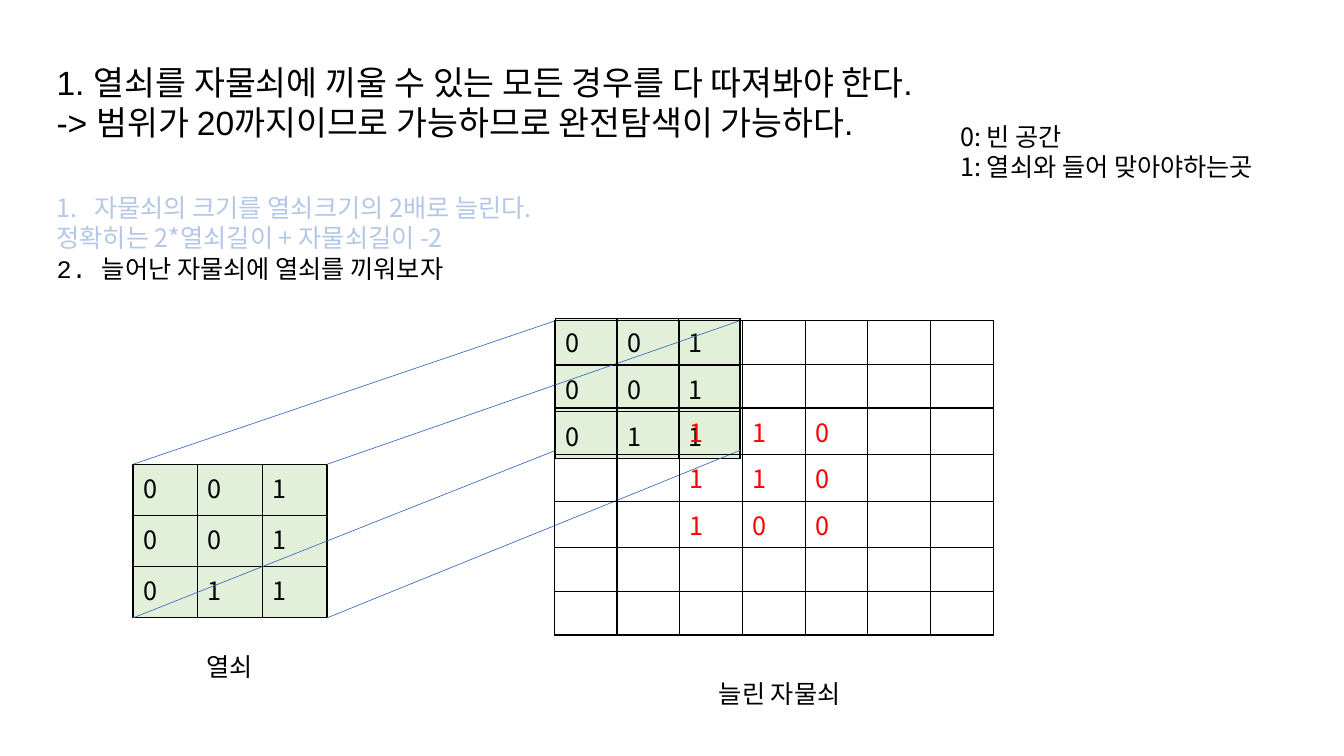
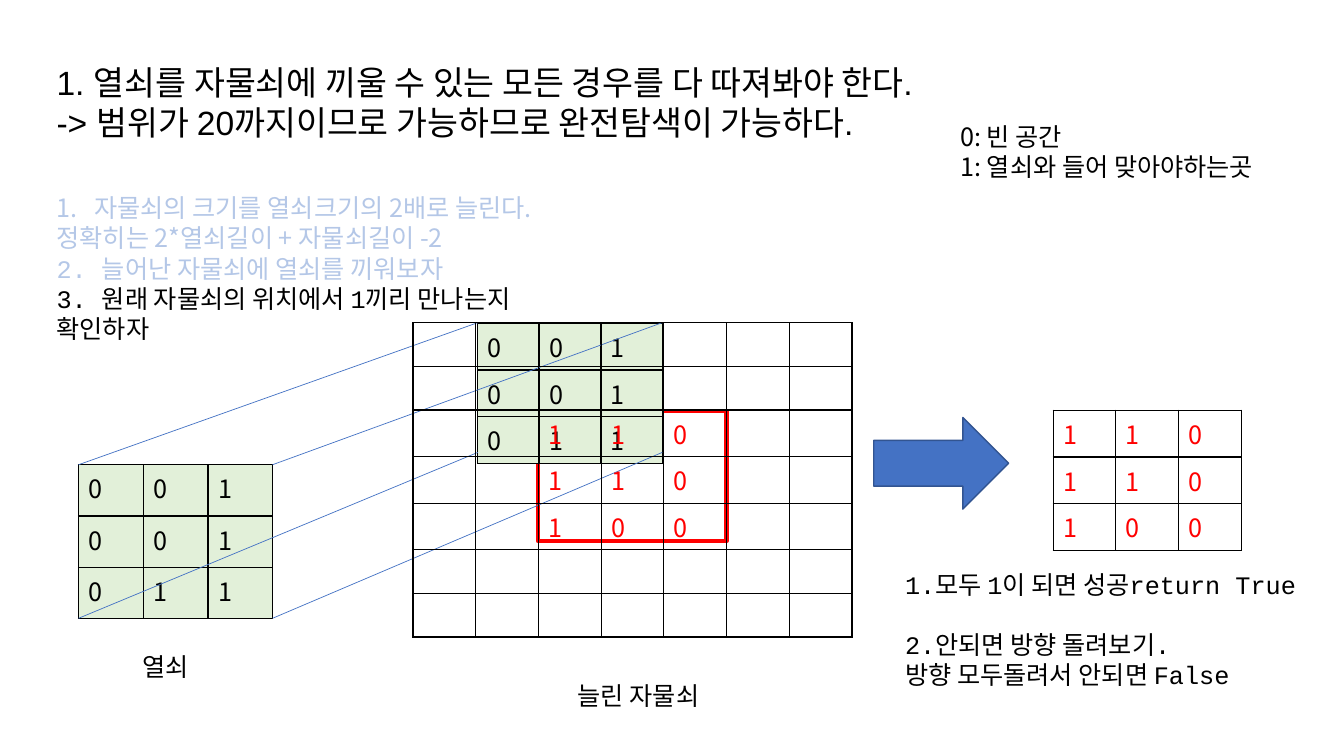
from lxml.etree import SubElement
from pptx import Presentation
from pptx.dml.color import RGBColor
from pptx.enum.shapes import MSO_CONNECTOR, MSO_SHAPE
from pptx.enum.text import MSO_ANCHOR, MSO_AUTO_SIZE, PP_ALIGN
from pptx.oxml import parse_xml
from pptx.oxml.ns import nsdecls, qn
from pptx.util import Cm, Pt

COLORS = {
    "text": "000000",
    "done": "B4C7E7",
    "key": "E2F0D9",
    "lock": "FF0000",
    "accent": "4472C4",
    "accent_edge": "325491",
}
SANS, HEADING_FONT, MONO = "Noto Sans CJK KR", "Arial", "Courier New"

KEY = ["001", "001", "011"]
LOCK = ["110", "110", "100"]
ENLARGED_LOCK = [" " * 7] * 2 + [f"  {row}  " for row in LOCK] + [" " * 7] * 2
KEY_CELL, FITTED_CELL, LOCK_CELL = (1.63, 1.29), (1.55, 1.09), (1.58, 1.1)

HEADING = (
    "1. 열쇠를 자물쇠에 끼울 수 있는 모든 경우를 다 따져봐야 한다.\n"
    "-> 범위가 20까지이므로 가능하므로 완전탐색이 가능하다."
)
LEGEND = "0: 빈 공간\n1: 열쇠와 들어 맞아야하는곳"
STEPS = [
    ("자물쇠의 크기를 열쇠크기의 2배로 늘린다.", SANS),
    ("정확히는 2*열쇠길이 + 자물쇠길이 -2", SANS),
    ("2. 늘어난 자물쇠에 열쇠를 끼워보자", MONO),
    ("3. 원래 자물쇠의 위치에서 1끼리 만나는지 확인하자", MONO),
]
CONCLUSION = (
    "1.모두 1이 되면 성공return True\n"
    "2.안되면 방향 돌려보기.\n"
    "방향 모두돌려서 안되면 False"
)


def rgb(name):
    return RGBColor.from_string(COLORS[name])


def style(paragraph, font=SANS, size=18, color="text"):
    paragraph.alignment = PP_ALIGN.LEFT
    paragraph.line_spacing = 1.0
    paragraph.space_before = Pt(0)
    for run in paragraph.runs:
        run.font.name = font
        run.font.size = Pt(size)
        run.font.color.rgb = rgb(color)
        SubElement(run.font._element, qn("a:ea"), typeface=SANS)


def move(shape, box):
    shape.left, shape.top, shape.width, shape.height = map(Cm, box)


def set_frame(frame, text):
    frame.text = text
    frame.word_wrap = True
    frame.auto_size = MSO_AUTO_SIZE.NONE
    frame.vertical_anchor = MSO_ANCHOR.TOP


def add_text(slide, box, text, font=SANS):
    frame = slide.shapes.add_textbox(*map(Cm, box)).text_frame
    set_frame(frame, text)
    for paragraph in frame.paragraphs:
        style(paragraph, font)
    return frame


def set_borders(cell):
    properties = cell._tc.get_or_add_tcPr()
    for index, side in enumerate("LRTB"):
        properties.insert(index, parse_xml(
            f'<a:ln{side} {nsdecls("a")} w="12700"><a:solidFill>'
            f'<a:srgbClr val="{COLORS["text"]}"/></a:solidFill></a:ln{side}>'
        ))


def add_grid(slide, left, top, cell_size, values, color="text", fill=None):
    width, height = cell_size
    rows, columns = len(values), len(values[0])
    grid = slide.shapes.add_table(
        rows, columns, Cm(left), Cm(top), Cm(width * columns), Cm(height * rows)
    ).table
    grid.first_row = grid.horz_banding = False
    for column in grid.columns:
        column.width = Cm(width)
    for row, digits in zip(grid.rows, values):
        row.height = Cm(height)
        for cell, digit in zip(row.cells, digits):
            cell.text = digit.strip()
            style(cell.text_frame.paragraphs[0], color=color)
            if fill:
                cell.fill.solid()
                cell.fill.fore_color.rgb = rgb(fill)
            else:
                cell.fill.background()
            set_borders(cell)


def corners(left, top, cell_size):
    width, height = (3 * side for side in cell_size)
    return [(left + dx, top + dy) for dx in (0, width) for dy in (0, height)]


def add_projection(slide, starts, ends):
    for start, end in zip(starts, ends):
        edge = slide.shapes.add_connector(
            MSO_CONNECTOR.STRAIGHT, *map(Cm, start + end)
        )
        edge.line.color.rgb = rgb("accent")
        edge.line.width = Pt(0.5)
        SubElement(edge._element.spPr, qn("a:effectLst"))


def add_explanation(slide, box, step_count):
    heading = slide.shapes.title
    move(heading, (1.17, 1.42, 24.77, 2.31))
    set_frame(heading.text_frame, HEADING)
    for paragraph in heading.text_frame.paragraphs:
        style(paragraph, HEADING_FONT, 24)

    add_text(slide, (23.95, 2.92, 9.9, 1.8), LEGEND)

    steps = STEPS[:step_count]
    body = slide.placeholders[1]
    move(body, box)
    set_frame(body.text_frame, "\n".join(text for text, _ in steps))
    for index, paragraph in enumerate(body.text_frame.paragraphs):
        numbered = index == 0
        properties = paragraph._p.get_or_add_pPr()
        indent = Cm(0.95) if numbered else 0
        properties.set("marL", str(indent))
        properties.set("indent", str(-indent))
        if numbered:
            SubElement(properties, qn("a:buFont"), typeface=SANS)
            SubElement(properties, qn("a:buAutoNum"), type="arabicPeriod")
        else:
            SubElement(properties, qn("a:buNone"))
        current = index == step_count - 1
        style(paragraph, steps[index][1], color="text" if current else "done")


def add_fitting(slide, key, label_offset, fitted, lock):
    add_grid(slide, *key, KEY_CELL, KEY, fill="key")
    add_text(slide, (key[0] + label_offset, 16.28, 4, 1.02), "열쇠")
    add_grid(slide, *fitted, FITTED_CELL, KEY, fill="key")
    add_projection(
        slide,
        corners(*key, KEY_CELL),
        corners(fitted[0], lock[1], FITTED_CELL),
    )
    add_grid(slide, *lock, LOCK_CELL, ENLARGED_LOCK, "lock")
    add_text(slide, (lock[0] + 3.9, lock[1] + 8.9, 4, 1.02), "늘린 자물쇠")


def add_lock_outline(slide, box):
    outline = slide.shapes.add_shape(MSO_SHAPE.RECTANGLE, *map(Cm, box))
    outline.shadow.inherit = False
    outline.fill.background()
    outline.line.color.rgb = rgb("lock")
    outline.line.width = Pt(3)


def add_result(slide, left, top):
    arrow = slide.shapes.add_shape(
        MSO_SHAPE.RIGHT_ARROW, Cm(left), Cm(top + 0.18), Cm(3.4), Cm(2.31)
    )
    arrow.shadow.inherit = False
    arrow.fill.solid()
    arrow.fill.fore_color.rgb = rgb("accent")
    arrow.line.color.rgb = rgb("accent_edge")
    arrow.line.width = Pt(1)
    add_grid(slide, left + 4.52, top, LOCK_CELL, LOCK, "lock")
    conclusion = add_text(
        slide, (left + 0.54, top + 3.88, 10.39, 4.11), CONCLUSION, MONO
    )
    conclusion.paragraphs[1].space_before = Pt(21)


def build_insert_slide(slide):
    add_explanation(slide, (1.17, 4.72, 15.93, 2.57), 3)
    add_fitting(slide, (3.35, 11.7), 1.6, (14, 8.03), (13.97, 8.08))


def build_check_slide(slide):
    add_explanation(slide, (1.17, 4.72, 13.59, 4.11), 4)
    add_lock_outline(slide, (13.56, 10.36, 4.75, 3.28))
    add_fitting(slide, (1.98, 11.71), 1.37, (12.04, 8.15), (10.41, 8.13))
    add_result(slide, 22.02, 10.34)


def main():
    presentation = Presentation()
    presentation.slide_width = Cm(33.87)
    presentation.slide_height = Cm(19.05)
    for build in (build_insert_slide, build_check_slide):
        build(presentation.slides.add_slide(presentation.slide_layouts[1]))
    presentation.save("out.pptx")


if __name__ == "__main__":
    main()
